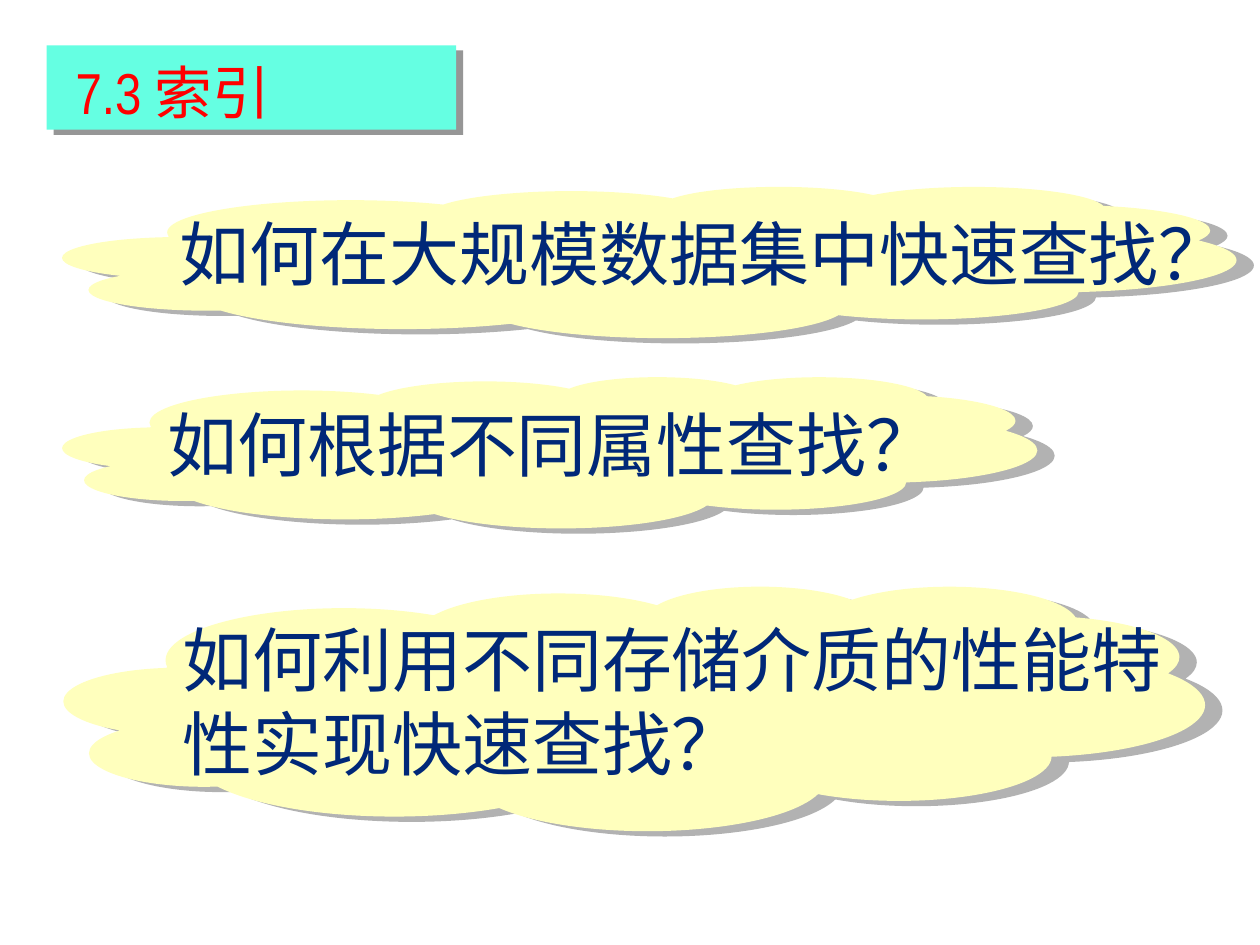
from dataclasses import dataclass

from lxml import etree
from pptx import Presentation
from pptx.dml.color import RGBColor
from pptx.enum.lang import MSO_LANGUAGE_ID
from pptx.enum.shapes import MSO_SHAPE
from pptx.enum.text import MSO_ANCHOR, PP_ALIGN
from pptx.oxml.ns import qn
from pptx.util import Inches, Pt

CLOUD, RECTANGLE = MSO_SHAPE.CLOUD_CALLOUT, MSO_SHAPE.RECTANGLE
BOTTOM, TOP, LEFT = MSO_ANCHOR.BOTTOM, MSO_ANCHOR.TOP, PP_ALIGN.LEFT
CHINESE = MSO_LANGUAGE_ID.SIMPLIFIED_CHINESE


@dataclass(frozen=True)
class Theme:
    cloud: str = "FFFFBD"
    cloud_shadow: str = "B2B2B2"
    question: str = "002878"
    banner: str = "65FFE2"
    banner_shadow: str = "969696"
    title: str = "FF0000"
    title_shadow: str = "000000"
    latin_font: str = "Arial Narrow"
    chinese_font: str = "Noto Sans CJK SC"
    question_size: int = 40
    question_line: int = 48
    title_size: int = 33


THEME = Theme()


def make_shadow(color, distance, degrees):
    effects = etree.Element(qn("a:effectLst"))
    shadow = etree.SubElement(
        effects, qn("a:outerShdw"), blurRad="0", dist=str(Pt(distance)),
        dir=str(degrees * 60000), algn="ctr", rotWithShape="0")
    etree.SubElement(shadow, qn("a:srgbClr"), val=color)
    return effects


def add_run(paragraph, text, font_name, size, color):
    run = paragraph.add_run()
    run.text = text
    formats = {"name": font_name, "size": Pt(size), "bold": False,
               "language_id": CHINESE}
    for name, value in formats.items():
        setattr(run.font, name, value)
    run.font.color.rgb = RGBColor.from_string(color)
    latin = run.font._element.find(qn("a:latin"))
    east_asian = etree.Element(qn("a:ea"), typeface=THEME.chinese_font)
    latin.addnext(east_asian)
    return latin


presentation = Presentation()
presentation.slide_width, presentation.slide_height = Inches(10), Inches(7.5)
slide = presentation.slides.add_slide(presentation.slide_layouts[5])

# Question, cloud box and text box (left, top, width, height)
questions = [
    ("如何在大规模数据集中快速查找？", (0.5, 1.48, 9.31, 1.2), (1.33, 1.57, 8.24, 1.44)),
    ("如何根据不同属性查找？", (0.5, 2.99, 7.73, 1.2), (1.23, 3.09, 7.24, 1.45)),
    ("如何利用不同存储介质的性能特性实现快速查找？", (0.51, 4.65, 9.05, 1.94),
     (1.35, 4.79, 8.3, 2.04)),
]
for question, cloud_box, text_box in questions:
    group = slide.shapes.add_group_shape()
    cloud = group.shapes.add_shape(CLOUD, *map(Inches, cloud_box))
    cloud.adjustments[0], cloud.adjustments[1] = -0.2, 0.17
    cloud.fill.solid()
    cloud.fill.fore_color.rgb = RGBColor.from_string(THEME.cloud)
    cloud.line.fill.background()
    cloud._element.spPr.append(make_shadow(THEME.cloud_shadow, 10.4, 17))

    frame = group.shapes.add_textbox(*map(Inches, text_box)).text_frame
    formats = {"word_wrap": True, "vertical_anchor": TOP, "margin_top": Inches(0.1)}
    for name, value in formats.items():
        setattr(frame, name, value)
    paragraph = frame.paragraphs[0]
    paragraph.line_spacing = Pt(THEME.question_line)
    add_run(paragraph, question, THEME.chinese_font, THEME.question_size, THEME.question)

banner = slide.shapes.add_shape(RECTANGLE, *map(Inches, (0.37, 0.36, 3.25, 0.67)))
banner.fill.solid()
banner.fill.fore_color.rgb = RGBColor.from_string(THEME.banner)
banner.line.fill.background()
banner._element.spPr.append(make_shadow(THEME.banner_shadow, 5, 37))

title = slide.shapes.title
slide.shapes._spTree.append(title._element)  # bring the title in front of its banner
box = {"left": 0.27, "top": 0.38, "width": 3.42, "height": 0.67}
for name, value in box.items():
    setattr(title, name, Inches(value))
formats = {"word_wrap": True, "vertical_anchor": BOTTOM, "margin_left": Inches(0.33),
           "margin_right": Inches(0.1), "margin_top": Inches(0.05),
           "margin_bottom": Inches(0.05)}
for name, value in formats.items():
    setattr(title.text_frame, name, value)
paragraph = title.text_frame.paragraphs[0]
paragraph.alignment = LEFT
for text, font_name in (("7.3 ", THEME.latin_font), ("索引", THEME.chinese_font)):
    latin = add_run(paragraph, text, font_name, THEME.title_size, THEME.title)
    latin.addprevious(make_shadow(THEME.title_shadow, 2, 45))

presentation.save("out.pptx")
